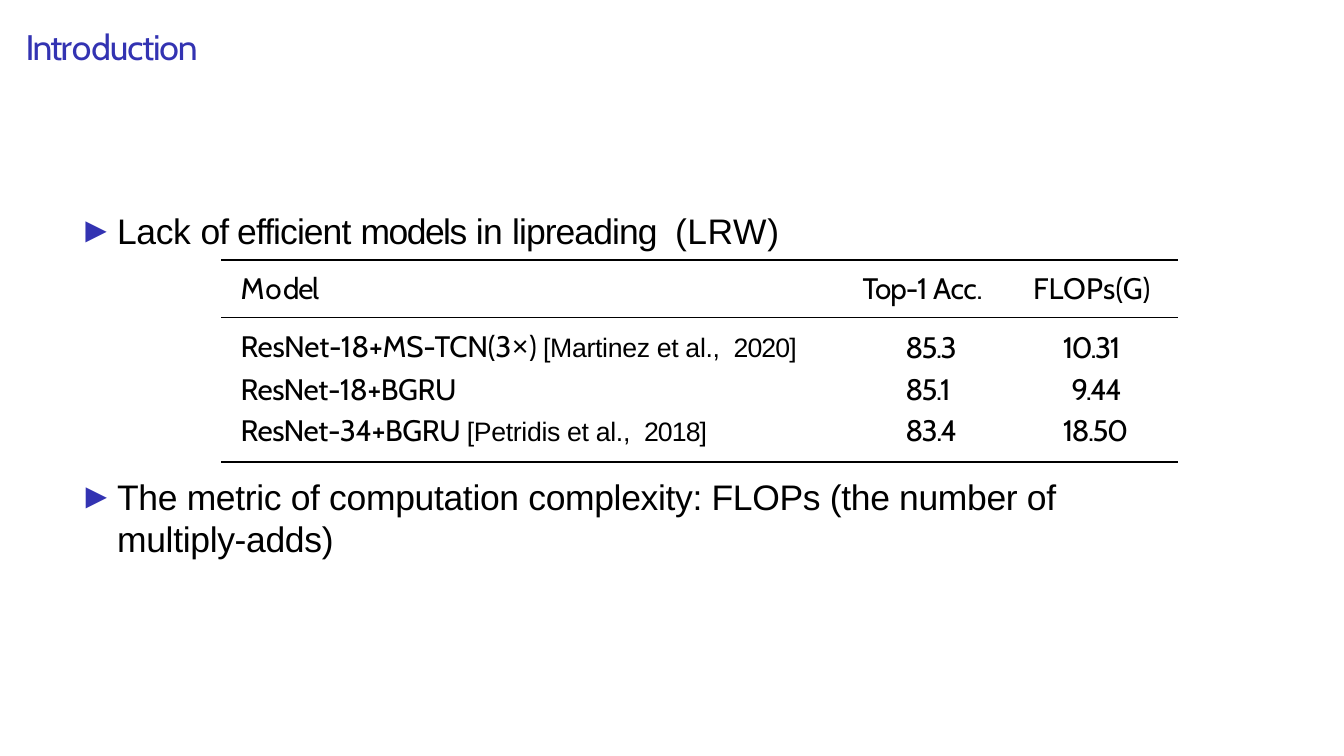
import lxml.etree
import pptx
import pptx.dml.color
import pptx.enum.shapes
import pptx.enum.text
import pptx.oxml.ns
import pptx.util

Inches = pptx.util.Inches
Pt = pptx.util.Pt
ANCHOR = pptx.enum.text.MSO_ANCHOR
BLUE, BLACK = "3333B2", "000000"

# Each text is a list of (wording, format) runs
TITLE = [("Intr", {"spacing": -0.6}), ("o", {"spacing": -0.5}),
         ("duction", {"spacing": -0.4})]
LACK_OF_MODELS = [
    ("Lack ", {"spacing": -0.1}), ("of efficient ", {"spacing": -0.3}),
    ("models ", {"spacing": -0.5}), ("in ", {"spacing": -0.2}),
    ("lipreading", {"spacing": -0.3}), (" ", {"spacing": 2.5}),
    ("(LRW)", {"spacing": 0.2}),
]
METRIC = [("The metric of computation complexity: FLOPs "
           "(the number of multiply-adds)", {"spacing": -0.1})]

CITATION = {"font": "Arial", "size": 9}
WIDE_SPACE = {**CITATION, "spacing": 2.2}
YEAR = {**CITATION, "spacing": -0.3}
NUMBER = {"spacing": -0.5}
RESULTS = [
    [[("M", {"spacing": 0.3}), ("o", {"spacing": 0.5}), ("del", {"spacing": -0.4})],
     [("Top-1 ", {"spacing": -0.3}), ("Acc.", {})],
     [("FLOPs(G)", {"spacing": 0.1})]],
    [[("ResNet-18+MS-TCN(3", {"spacing": -0.05}), ("×", {"font": "Noto Sans Mono"}),
      (") ", {}), ("[Martinez et al.,", CITATION), (" ", WIDE_SPACE), ("2020]", YEAR)],
     [("85.3", NUMBER)], [("10.31", NUMBER)]],
    [[("ResNet-18+BGRU", {})], [("85.1", NUMBER)], [("9.44", NUMBER)]],
    [[("ResNet-34+BGRU ", {}), ("[Petridis et al.,", CITATION), (" ", WIDE_SPACE),
      ("2018]", YEAR)],
     [("83.4", NUMBER)], [("18.50", NUMBER)]],
]
TABLE_LEFT, TABLE_TOP = 1.04, 1.22
COLUMN_WIDTHS = [2.91, 0.8, 0.78]
ROW_HEIGHTS = [0.27, 0.24, 0.2, 0.24]
ROW_ANCHORS = [ANCHOR.MIDDLE, ANCHOR.BOTTOM, ANCHOR.MIDDLE, ANCHOR.TOP]
CELL_INDENTS = [[0.09, 0.1, 0.1], [0.09, 0.3, 0.24],
                [0.09, 0.3, 0.28], [0.09, 0.3, 0.24]]
RULES = [(1.22, 0.8), (1.49, 0.5), (2.17, 0.8)]  # height on the slide, weight


def rgb(color):
    return pptx.dml.color.RGBColor.from_string(color)


def add_xml(parent, tag, **attributes):
    return lxml.etree.SubElement(parent, pptx.oxml.ns.qn(tag), attributes)


def write(paragraph, text, font="Arial", size=12, color=BLACK, spacing=-0.1):
    run = paragraph.add_run()
    run.text = text
    run.font.name = font
    run.font.size = Pt(size)
    run.font.color.rgb = rgb(color)
    run._r.get_or_add_rPr().set("spc", str(round(spacing * 100)))


def write_runs(paragraph, runs, **shared):
    for text, own in runs:
        write(paragraph, text, **{**shared, **own})


def prepare_frame(frame):
    frame.margin_left = frame.margin_right = frame.margin_bottom = 0
    frame.margin_top = Inches(0.01)
    frame.word_wrap = True
    frame.auto_size = pptx.enum.text.MSO_AUTO_SIZE.NONE
    frame.vertical_anchor = ANCHOR.TOP
    paragraph = frame.paragraphs[0]
    paragraph.alignment = pptx.enum.text.PP_ALIGN.LEFT
    paragraph.space_before = Pt(1.2)
    return paragraph


def set_title(slide):
    title = slide.shapes.title
    title.left, title.top = Inches(0.12), Inches(0.11)
    title.width, title.height = Inches(0.86), Inches(0.23)
    write_runs(prepare_frame(title.text_frame), TITLE, font="Cabin", color=BLUE)


def add_bullet(slide, runs, top, width, height):
    box = slide.shapes.add_textbox(Inches(0.36), Inches(top), Inches(width), Inches(height))
    paragraph = prepare_frame(box.text_frame)
    properties = paragraph._p.get_or_add_pPr()
    properties.set("marL", str(Inches(0.19)))
    properties.set("indent", str(Inches(-0.18)))
    add_xml(add_xml(properties, "a:buClr"), "a:srgbClr", val=BLUE)
    add_xml(properties, "a:buFont", typeface="Arial")
    add_xml(properties, "a:buChar", char="►")
    write_runs(paragraph, runs)


def clear_borders(cell):
    properties = cell._tc.get_or_add_tcPr()
    for side in "LRTB":
        add_xml(add_xml(properties, f"a:ln{side}", w="0"), "a:noFill")


def add_results_table(slide):
    table = slide.shapes.add_table(
        len(ROW_HEIGHTS), len(COLUMN_WIDTHS), Inches(TABLE_LEFT), Inches(TABLE_TOP),
        Inches(sum(COLUMN_WIDTHS)), Inches(sum(ROW_HEIGHTS))).table
    table.horz_banding = table.first_row = False
    for column, width in zip(table.columns, COLUMN_WIDTHS):
        column.width = Inches(width)
    for r, row in enumerate(table.rows):
        row.height = Inches(ROW_HEIGHTS[r])
        for c, cell in enumerate(row.cells):
            cell.margin_left = Inches(CELL_INDENTS[r][c])
            cell.margin_right = 0
            cell.margin_top = cell.margin_bottom = Inches(0.01)
            cell.vertical_anchor = ROW_ANCHORS[r]
            clear_borders(cell)
            cell.fill.background()
            write_runs(cell.text_frame.paragraphs[0], RESULTS[r][c], font="Cabin", size=10)


def add_rule(slide, y, weight):
    rule = slide.shapes.add_connector(
        pptx.enum.shapes.MSO_CONNECTOR.STRAIGHT, Inches(TABLE_LEFT), Inches(y),
        Inches(TABLE_LEFT + sum(COLUMN_WIDTHS)), Inches(y))
    rule.line.color.rgb = rgb(BLACK)
    rule.line.width = Pt(weight)
    add_xml(rule._element.spPr, "a:effectLst")


def main():
    deck = pptx.Presentation()
    deck.slide_width, deck.slide_height = Inches(6.31), Inches(3.55)
    slide = deck.slides.add_slide(deck.slide_layouts.get_by_name("Title Only"))

    # Heading and first point
    set_title(slide)
    add_bullet(slide, LACK_OF_MODELS, top=0.97, width=3.37, height=0.22)

    # Accuracy and cost of the models
    add_results_table(slide)
    for y, weight in RULES:
        add_rule(slide, y, weight)

    # Second point
    add_bullet(slide, METRIC, top=2.22, width=4.72, height=0.42)
    deck.save("out.pptx")


if __name__ == "__main__":
    main()
